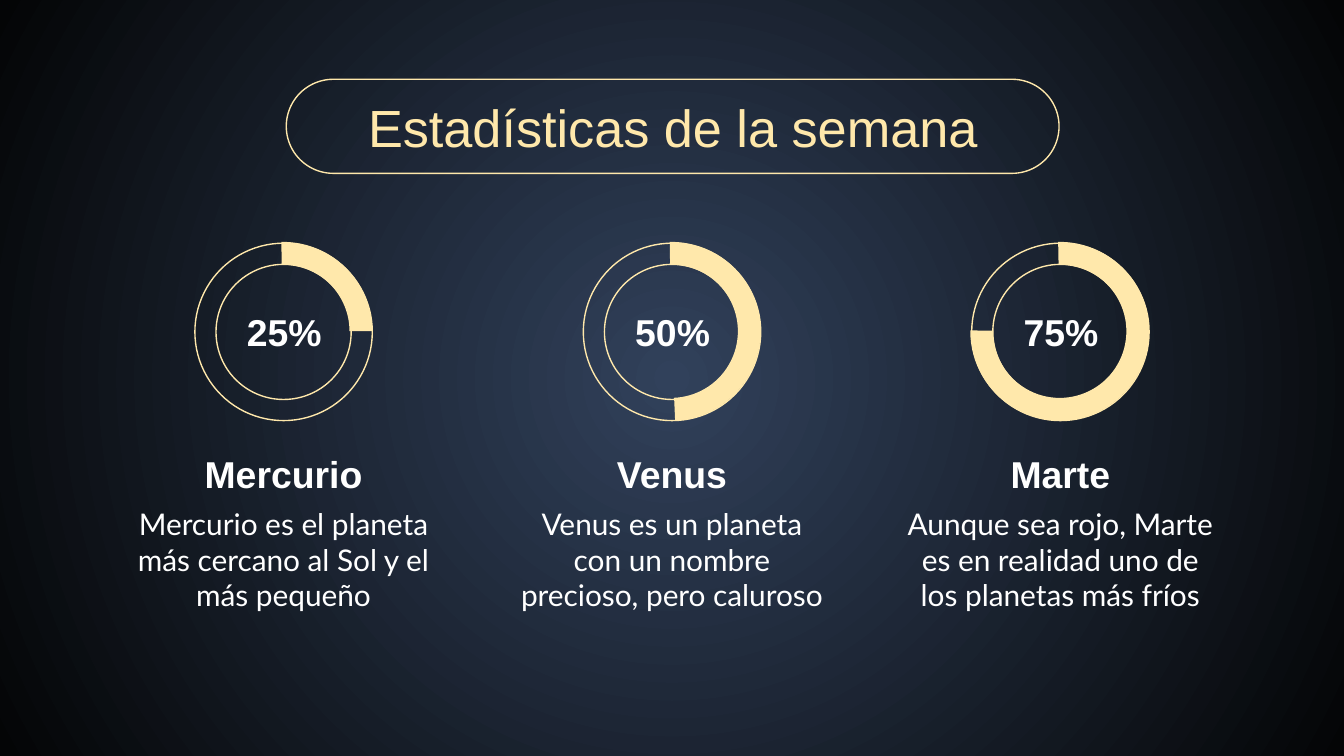
"""Builds a slide with weekly statistics shown as three ring gauges."""
from lxml import etree
from pptx import Presentation
from pptx.dml.color import RGBColor
from pptx.enum import shapes, text
from pptx.oxml import ns
from pptx.util import Inches, Pt

CREAM = RGBColor(0xFF, 0xE8, 0xAB)
WHITE = RGBColor(0xFF, 0xFF, 0xFF)
NAVY = RGBColor(0x31, 0x41, 0x5B)
BLACK = RGBColor(0x04, 0x05, 0x06)

LEFT, PITCH, WIDTH = 0.85, 2.89, 2.52
ARC_START = 269.05
PLANETS = [
    ("25%", 0, "Mercurio",
     "Mercurio es el planeta más cercano al Sol y el más pequeño"),
    ("50%", 87.5, "Venus",
     "Venus es un planeta con un nombre precioso, pero caluroso"),
    ("75%", 180.5, "Marte",
     "Aunque sea rojo, Marte es en realidad uno de los planetas más fríos"),
]


def write(sp, content, size=20, font="Arial", color=WHITE, bold=False):
    """Put one centred paragraph into a shape."""
    tf = sp.text_frame
    tf.word_wrap = True
    tf.auto_size = text.MSO_AUTO_SIZE.NONE
    tf.vertical_anchor = text.MSO_ANCHOR.MIDDLE
    tf.margin_left = tf.margin_right = Inches(0.1)
    tf.margin_top = tf.margin_bottom = Inches(0.1)
    p = tf.paragraphs[0]
    p.alignment = text.PP_ALIGN.CENTER
    r = p.add_run()
    r.text = content
    r.font.size, r.font.name, r.font.bold = Pt(size), font, bold
    r.font.color.rgb = color


class Deck:
    """Holds the accent style and the current slide."""

    def __init__(self, s, accent=CREAM, weight=0.75):
        self.s, self.accent, self.weight = s, accent, weight

    def background(self, inner, outer):
        """Fill the slide with a gradient spreading from its centre."""
        fill = self.s.background.fill
        fill.gradient()
        for stop, color in zip(fill.gradient_stops, (inner, outer)):
            stop.color.rgb = color
        grad = self.s.element.find(".//" + ns.qn("a:gradFill"))
        grad.remove(grad.find(ns.qn("a:lin")))
        circle = etree.SubElement(grad, ns.qn("a:path"), {"path": "circle"})
        etree.SubElement(circle, ns.qn("a:fillToRect"),
                         dict.fromkeys("ltrb", "50000"))

    def title(self, content, x, y, w, h):
        """Move the title placeholder and fill it."""
        sp = self.s.shapes.title
        sp.left, sp.top, sp.width, sp.height = map(Inches, (x, y, w, h))
        write(sp, content, size=28, color=self.accent)

    def label(self, content, x, y, w, h, **style):
        """Add a text box."""
        sp = self.s.shapes.add_textbox(*map(Inches, (x, y, w, h)))
        write(sp, content, **style)

    def shape(self, kind, x, y, w, h, adjust, filled=False):
        """Add an accent shape, either filled or outlined."""
        sp = self.s.shapes.add_shape(kind, *map(Inches, (x, y, w, h)))
        sp.shadow.inherit = False
        for i, value in enumerate(adjust):
            sp.adjustments[i] = value
        if filled:
            sp.fill.solid()
            sp.fill.fore_color.rgb = self.accent
            sp.line.fill.background()
        else:
            sp.fill.background()
            sp.line.color.rgb = self.accent
            sp.line.width = Pt(self.weight)

    def gauge(self, x, y, end):
        """Add a ring with an arc running clockwise to the end angle."""
        self.shape(shapes.MSO_SHAPE.DONUT, x, y, 1.32, 1.32, [0.119])
        angles = [degrees * 0.6 for degrees in (ARC_START, end)]
        self.shape(shapes.MSO_SHAPE.BLOCK_ARC, x - 0.01, y - 0.01, 1.33, 1.33,
                   angles + [0.127], filled=True)


def main():
    """Build and save the slide."""
    prs = Presentation()
    prs.slide_width = Inches(10)
    prs.slide_height = prs.slide_width * 9 // 16
    deck = Deck(prs.slides.add_slide(prs.slide_layouts[5]))
    deck.background(NAVY, BLACK)
    deck.title("Estadísticas de la semana", 0.79, 0.59, 8.43, 0.7)
    deck.shape(shapes.MSO_SHAPE.ROUNDED_RECTANGLE, 2.13, 0.59, 5.75, 0.7, [0.5])
    for i, (share, end, name, description) in enumerate(PLANETS):
        x = LEFT + i * PITCH
        deck.gauge(x + 0.6, 1.81, end)
        deck.label(share, x + 0.76, 2.27, 1.01, 0.4, bold=True)
        deck.label(name, x, 3.32, WIDTH, 0.4, bold=True)
        deck.label(description, x, 3.79, WIDTH, 0.74, size=16, font="Lato")
    prs.save("out.pptx")


if __name__ == "__main__":
    main()
